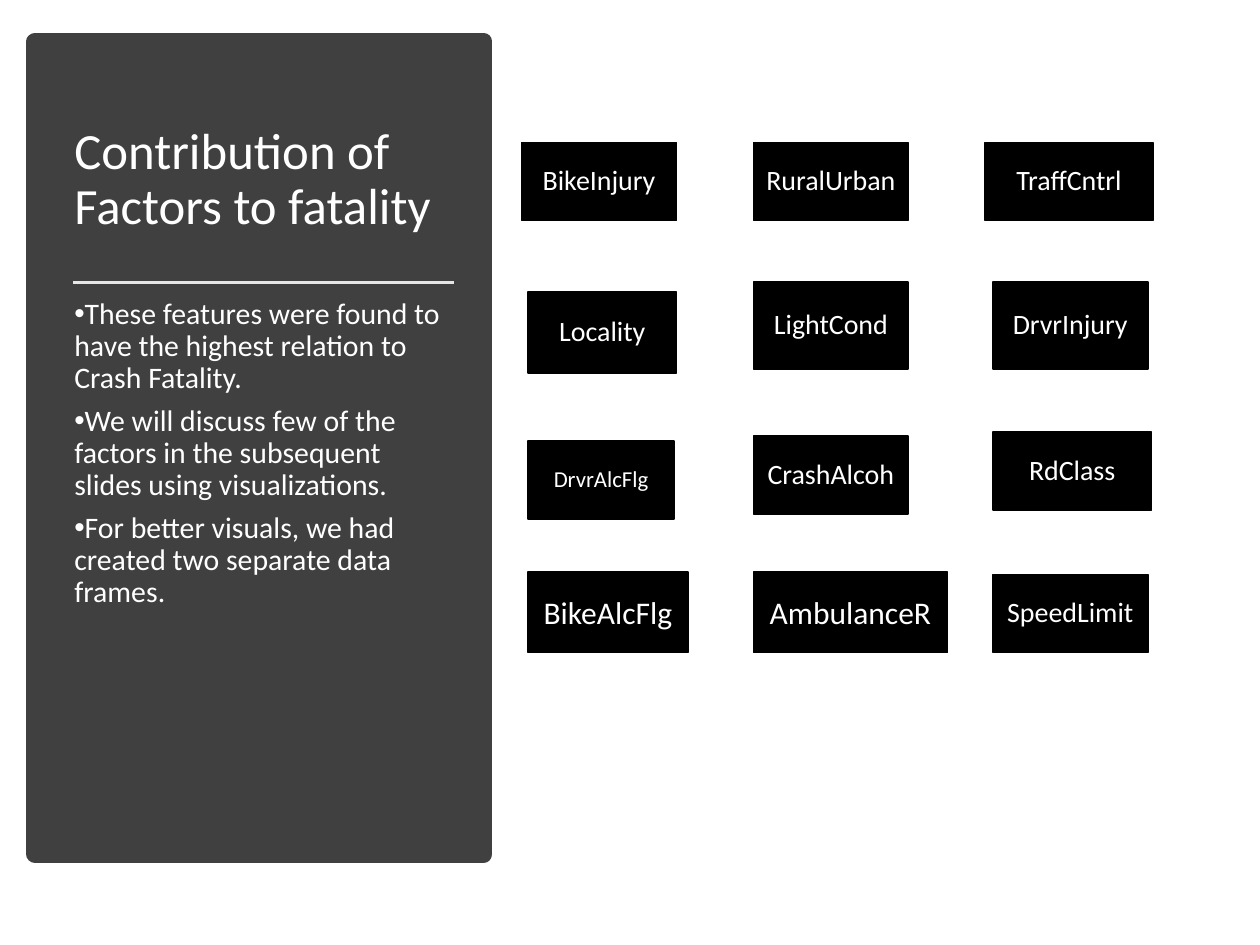
from dataclasses import dataclass

from lxml import etree
from pptx import Presentation
from pptx.dml.color import RGBColor
from pptx.enum.shapes import MSO_CONNECTOR, MSO_SHAPE
from pptx.enum.text import MSO_ANCHOR, MSO_AUTO_SIZE, PP_ALIGN
from pptx.oxml.ns import qn
from pptx.util import Inches, Pt

RECTANGLE = MSO_SHAPE.RECTANGLE
STRAIGHT = MSO_CONNECTOR.STRAIGHT
MIDDLE, TOP = MSO_ANCHOR.MIDDLE, MSO_ANCHOR.TOP
LEFT, CENTER = PP_ALIGN.LEFT, PP_ALIGN.CENTER
NO_AUTOFIT = MSO_AUTO_SIZE.NONE

FONT = "Calibri"
WHITE, BLACK, CHARCOAL, SILVER = "FFFFFF", "000000", "404040", "E7E6E6"
COLUMNS = (4.19, 5.98, 7.88)

TITLE = "Contribution of Factors to fatality"
POINTS = (
    "These features were found to have the highest relation to Crash Fatality.",
    "We will discuss few of the factors in the subsequent slides using visualizations.",
    "For better visuals, we had created two separate data frames.",
)


@dataclass(frozen=True)
class Factor:
    """A labelled tile; shift moves it sideways from its column's left edge."""
    name: str
    top: float
    width: float = 1.23
    height: float = 0.62
    shift: float = 0
    size: float = 16
    line_spacing: float = 0.9
    space_after: float = 6


FACTOR_ROWS = (
    (Factor("BikeInjury", 1.13, shift=-0.05),
     Factor("RuralUrban", 1.13),
     Factor("TraffCntrl", 1.13, width=1.33, shift=-0.06)),
    (Factor("Locality", 2.32, width=1.18, height=0.64),
     Factor("LightCond", 2.24, height=0.69),
     Factor("DrvrInjury", 2.24, height=0.69)),
    (Factor("DrvrAlcFlg", 3.5, width=1.16, size=13),
     Factor("CrashAlcoh", 3.46),
     Factor("RdClass", 3.43, width=1.26)),
    (Factor("BikeAlcFlg", 4.54, 1.27, 0.64, size=18, line_spacing=1, space_after=0),
     Factor("AmbulanceR", 4.54, 1.54, 0.64, size=18, line_spacing=1, space_after=0),
     Factor("SpeedLimit", 4.56)),
)


def color(value: str) -> RGBColor:
    return RGBColor.from_string(value)


def place(shape, left: float, top: float, width: float, height: float) -> None:
    shape.left, shape.top = Inches(left), Inches(top)
    shape.width, shape.height = Inches(width), Inches(height)


def prepare_frame(shape, anchor):
    frame = shape.text_frame
    frame.word_wrap = True
    frame.auto_size = NO_AUTOFIT
    frame.vertical_anchor = anchor
    return frame


def write(para, text: str, size: float, align, line_spacing: float = 0.9,
          space_after: float = 0) -> None:
    para.alignment = align
    para.line_spacing = line_spacing
    para.space_before = Pt(0)
    para.space_after = Pt(space_after)
    span = para.add_run()
    span.text = text
    span.font.name = FONT
    span.font.size = Pt(size)
    span.font.color.rgb = color(WHITE)


def add_bullet(para) -> None:
    """Put a bullet directly before the text, with wrapped lines at the margin."""
    properties = para._p.get_or_add_pPr()
    properties.set("marL", "0")
    properties.set("indent", str(Inches(-0.25)))
    etree.SubElement(properties, qn("a:buChar")).set("char", "•")


def add_box(page, left: float, top: float, width: float, height: float,
            fill: str, line_width: float):
    box = page.shapes.add_shape(RECTANGLE, Inches(left), Inches(top),
                                Inches(width), Inches(height))
    box.shadow.inherit = False
    box.fill.solid()
    box.fill.fore_color.rgb = color(fill)
    box.line.color.rgb = color(fill)
    box.line.width = Pt(line_width)
    return box


def add_rule(page, left: float, right: float, top: float) -> None:
    rule = page.shapes.add_connector(STRAIGHT, Inches(left), Inches(top),
                                     Inches(right), Inches(top))
    rule.line.color.rgb = color(SILVER)
    rule.line.width = Pt(1.75)
    etree.SubElement(rule._element.spPr, qn("a:effectLst"))


def add_factor(page, factor: Factor, column: float) -> None:
    tile = add_box(page, column + factor.shift, factor.top, factor.width,
                   factor.height, BLACK, 1)
    frame = prepare_frame(tile, MIDDLE)
    write(frame.paragraphs[0], factor.name, factor.size, CENTER,
          factor.line_spacing, factor.space_after)


def fill_sidebar(page) -> None:
    title, body = page.shapes.title, page.placeholders[1]
    panel = add_box(page, 0.28, 0.33, 3.56, 6.45, CHARCOAL, 10)
    title._element.addprevious(panel._element)

    place(title, 0.49, 0.7, 3.13, 1.47)
    write(prepare_frame(title, MIDDLE).paragraphs[0], TITLE, 29, LEFT)
    add_rule(page, 0.58, 3.6, 2.24)

    place(body, 0.49, 2.32, 3.13, 4.13)
    frame = prepare_frame(body, TOP)
    for index, point in enumerate(POINTS):
        para = frame.add_paragraph() if index else frame.paragraphs[0]
        write(para, point, 17, LEFT, space_after=6)
        add_bullet(para)


def main() -> None:
    deck = Presentation()
    deck.slide_width, deck.slide_height = Inches(10), Inches(7.5)
    page = deck.slides.add_slide(deck.slide_layouts[1])
    fill_sidebar(page)
    for row in FACTOR_ROWS:
        for factor, column in zip(row, COLUMNS):
            add_factor(page, factor, column)
    deck.save("out.pptx")


if __name__ == "__main__":
    main()
